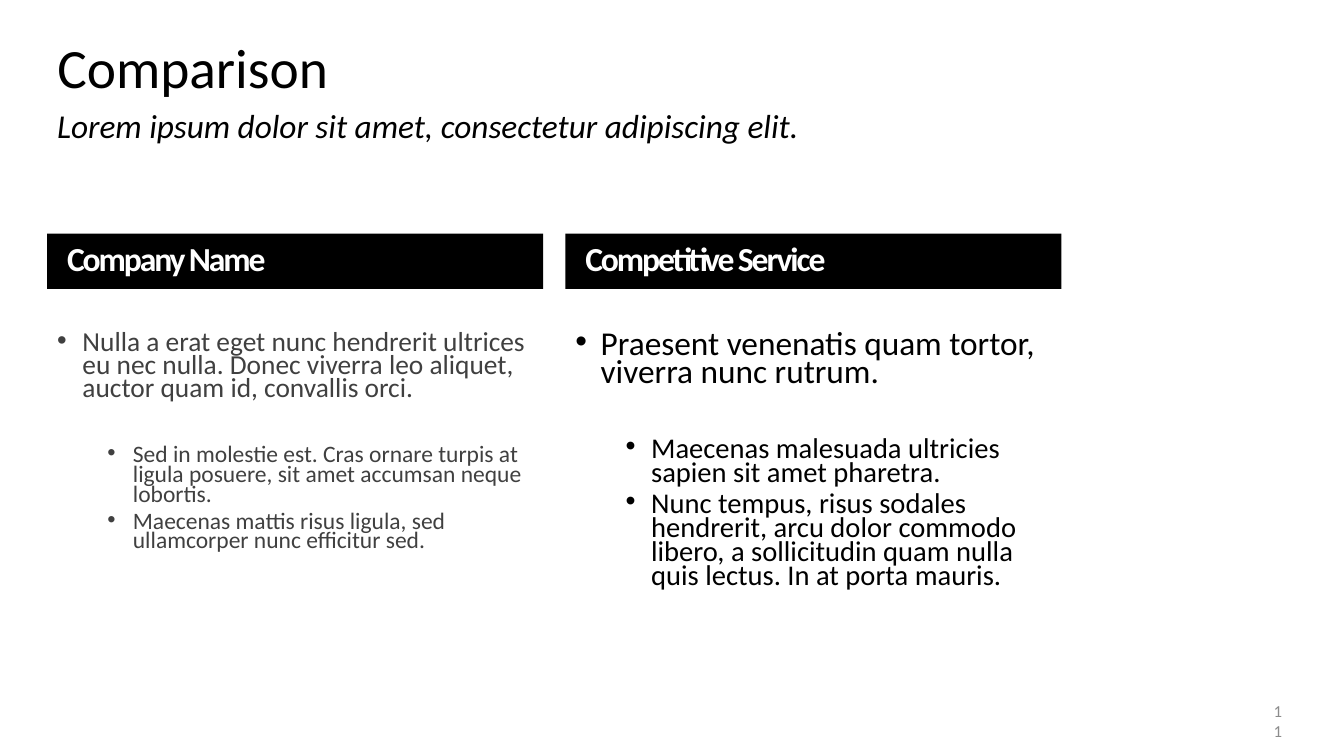
from lxml.etree import SubElement
from pptx import Presentation
from pptx.dml.color import RGBColor
from pptx.enum.shapes import MSO_SHAPE
from pptx.enum.text import MSO_ANCHOR, MSO_AUTO_SIZE, PP_ALIGN
from pptx.oxml.ns import qn
from pptx.util import Cm, Pt

COLORS = {"black": "000000", "white": "FFFFFF", "dark": "404040", "gray": "8C8C8C"}
FONT = "Calibri"
LEFT = 1.19
COLUMN_WIDTH = 12.5
COLUMN_STEP = 13.06
CONTENT_WIDTH = COLUMN_STEP + COLUMN_WIDTH

COLUMNS = [
    {
        "heading": "Company Name",
        "color": "dark",
        "sizes": (19.6, 16.8),
        "gap": 31.8,
        "lead": "Nulla a erat eget nunc hendrerit ultrices eu nec nulla. "
                "Donec viverra leo aliquet, auctor quam id, convallis orci.",
        "details": [
            "Sed in molestie est. Cras ornare turpis at ligula posuere, "
            "sit amet accumsan neque lobortis.",
            "Maecenas mattis risus ligula, sed ullamcorper nunc efficitur sed.",
        ],
    },
    {
        "heading": "Competitive Service",
        "color": "black",
        "sizes": (23.8, 20.4),
        "gap": 35.3,
        "lead": "Praesent venenatis quam tortor, viverra nunc rutrum.",
        "details": [
            "Maecenas malesuada ultricies sapien sit amet pharetra.",
            "Nunc tempus, risus sodales hendrerit, arcu dolor commodo libero, "
            "a sollicitudin quam nulla quis lectus. In at porta mauris.",
        ],
    },
]


def style_paragraph(paragraph, size, color, spacing=1.0, bold=False, italic=False):
    paragraph.line_spacing = spacing
    font = paragraph.font
    font.name = FONT
    font.size = Pt(size)
    font.bold = bold
    font.italic = italic
    font.color.rgb = RGBColor.from_string(COLORS[color])


def add_text_box(slide, left, top, width, height):
    box = slide.shapes.add_textbox(Cm(left), Cm(top), Cm(width), Cm(height))
    box.text_frame.word_wrap = True
    return box.text_frame


def set_title(slide, text):
    title = slide.shapes.title
    title.left, title.top = Cm(LEFT), Cm(1.19)
    title.width, title.height = Cm(CONTENT_WIDTH), Cm(1.19)
    frame = title.text_frame
    frame.text = text
    frame.auto_size = MSO_AUTO_SIZE.NONE
    frame.vertical_anchor = MSO_ANCHOR.MIDDLE
    paragraph = frame.paragraphs[0]
    paragraph.alignment = PP_ALIGN.LEFT
    style_paragraph(paragraph, 39.6, "black", 0.9)


def add_subtitle(slide, text):
    frame = add_text_box(slide, LEFT, 2.79, CONTENT_WIDTH, 0.99)
    frame.text = text
    style_paragraph(frame.paragraphs[0], 23.8, "black", 0.7, italic=True)


def add_heading(slide, left, text):
    bar = slide.shapes.add_shape(
        MSO_SHAPE.RECTANGLE, Cm(left), Cm(5.89), Cm(COLUMN_WIDTH), Cm(1.39))
    bar.shadow.inherit = False
    bar.fill.solid()
    bar.fill.fore_color.rgb = RGBColor.from_string(COLORS["black"])
    bar.line.fill.background()
    frame = bar.text_frame
    frame.text = text
    frame.word_wrap = True
    frame.vertical_anchor = MSO_ANCHOR.MIDDLE
    frame.margin_left, frame.margin_right = Cm(0.5), Cm(0.25)
    frame.margin_top, frame.margin_bottom = Cm(0.1), Cm(0.13)
    paragraph = frame.paragraphs[0]
    paragraph.alignment = PP_ALIGN.LEFT
    style_paragraph(paragraph, 24, "white", 0.9, bold=True)
    paragraph.runs[0]._r.get_or_add_rPr().set("spc", "-150")


def add_bullet(paragraph, text, level, size, color):
    paragraph.text = text
    paragraph.level = level
    properties = paragraph._p.get_or_add_pPr()
    properties.set("marL", str(Cm(0.64 + 1.27 * level)))
    properties.set("indent", str(Cm(-0.64)))
    SubElement(properties, qn("a:buFont")).set("typeface", "Arial")
    SubElement(properties, qn("a:buChar")).set("char", "•")
    style_paragraph(paragraph, size, color, 0.7)


def add_column(slide, left, column):
    add_heading(slide, left, column["heading"])
    frame = add_text_box(slide, left, 8.28, COLUMN_WIDTH, 7.01)
    lead_size, detail_size = column["sizes"]
    add_bullet(frame.paragraphs[0], column["lead"], 0, lead_size, column["color"])
    for index, detail in enumerate(column["details"]):
        paragraph = frame.add_paragraph()
        add_bullet(paragraph, detail, 1, detail_size, column["color"])
        paragraph.space_before = Pt(5 if index else column["gap"])


def add_slide_number(slide, number):
    frame = add_text_box(slide, 31.8, 17.78, 0.76, 0.76)
    frame.text = number
    frame.vertical_anchor = MSO_ANCHOR.MIDDLE
    paragraph = frame.paragraphs[0]
    paragraph.alignment = PP_ALIGN.RIGHT
    style_paragraph(paragraph, 12, "gray")


def main():
    presentation = Presentation()
    presentation.slide_width = Cm(33.87)
    presentation.slide_height = Cm(19.05)
    slide = presentation.slides.add_slide(presentation.slide_layouts[5])
    set_title(slide, "Comparison")
    add_subtitle(slide, "Lorem ipsum dolor sit amet, consectetur adipiscing elit.")
    for index, column in enumerate(COLUMNS):
        add_column(slide, LEFT + index * COLUMN_STEP, column)
    add_slide_number(slide, "11")
    presentation.save("out.pptx")


if __name__ == "__main__":
    main()
